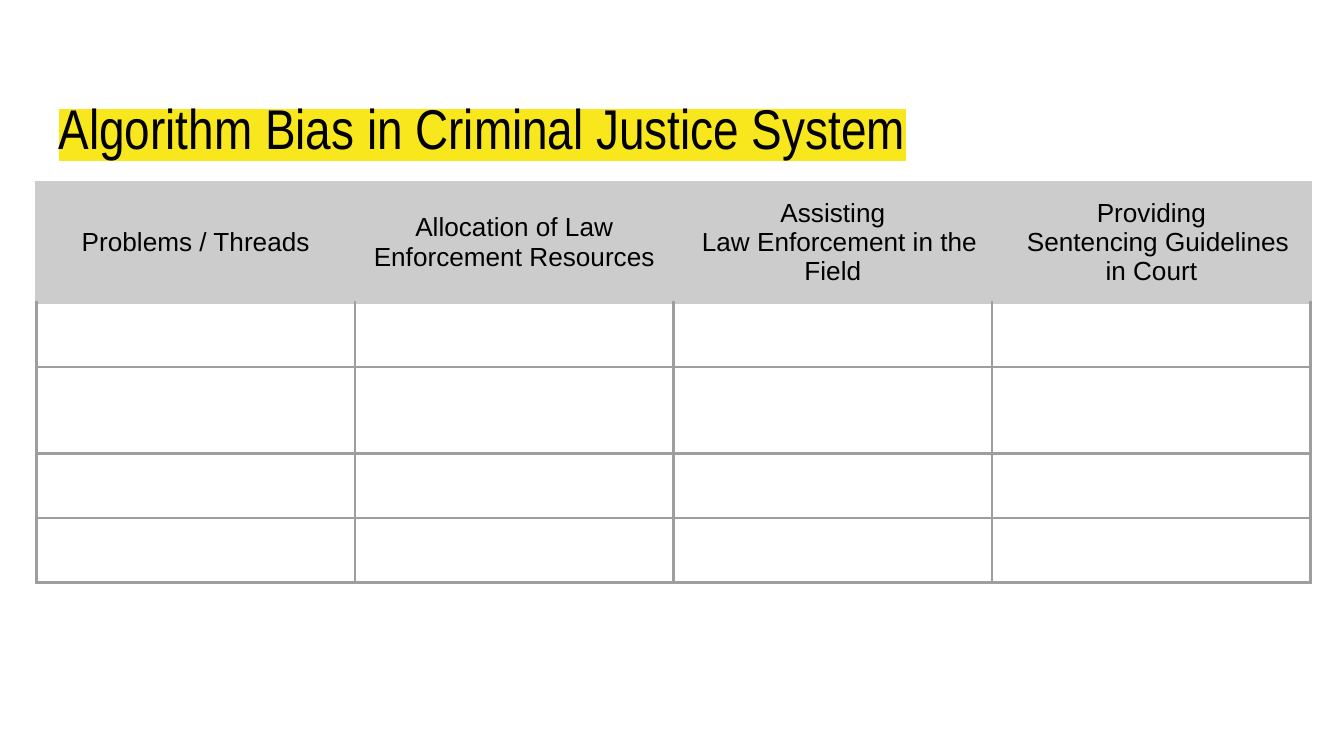
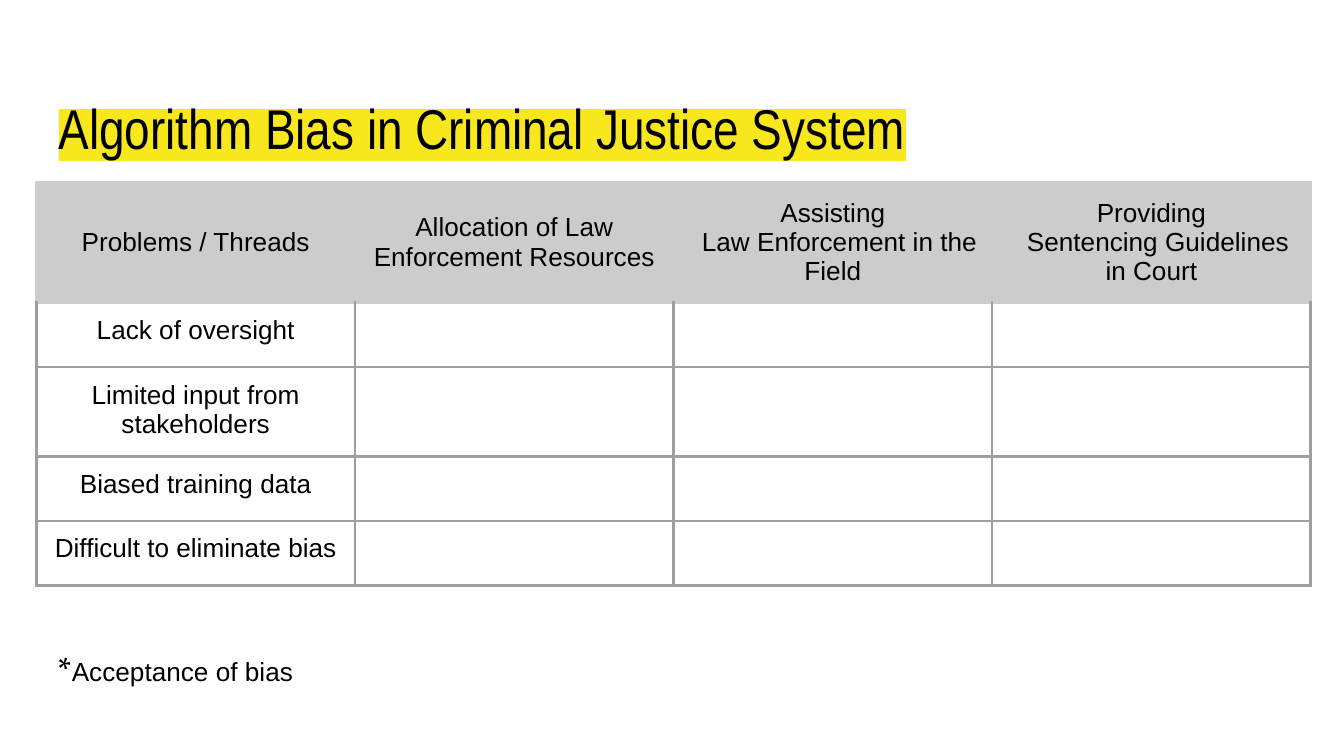
from lxml import etree
from pptx import Presentation
from pptx.dml.color import RGBColor
from pptx.enum.text import MSO_ANCHOR, PP_ALIGN
from pptx.oxml.ns import qn
from pptx.util import Cm, Pt

TOP, MIDDLE, BOTTOM = MSO_ANCHOR.TOP, MSO_ANCHOR.MIDDLE, MSO_ANCHOR.BOTTOM
LEFT, CENTER = PP_ALIGN.LEFT, PP_ALIGN.CENTER

BLACK = RGBColor(0x00, 0x00, 0x00)
YELLOW = RGBColor(0xF8, 0xE7, 0x1C)
HEADER_GREY = RGBColor(0xCC, 0xCC, 0xCC)
GRID_GREY = RGBColor(0x9E, 0x9E, 0x9E)

MARGIN = Cm(0.25)
TEXT_LEFT, TEXT_WIDTH = Cm(0.86), Cm(23.67)

TITLE = "Algorithm Bias in Criminal Justice System"
HEADERS = [
    ["Problems / Threads"],
    ["Allocation of Law Enforcement Resources"],
    ["Assisting", "Law Enforcement in the Field"],
    ["Providing", "Sentencing Guidelines in Court"],
]
PROBLEMS = [
    "Lack of oversight",
    "Limited input from stakeholders",
    "Biased training data",
    "Difficult to eliminate bias",
]
COLUMN_WIDTH = Cm(6.02)
ROW_HEIGHTS = [Cm(height) for height in (2.19, 1.22, 1.63, 1.22, 1.22)]


def add_color(parent, color):
    fill = etree.SubElement(parent, qn("a:solidFill"))
    etree.SubElement(fill, qn("a:srgbClr"), val=str(color))


def write_text(paragraph, text, size=14, font="Arial", color=BLACK,
               align=LEFT, highlight=None):
    """Append one formatted run to a paragraph."""
    paragraph.alignment = align
    run = paragraph.add_run()
    run.text = text
    run.font.size = Pt(size)
    run.font.color.rgb = color
    if highlight is not None:
        marker = etree.SubElement(run._r.get_or_add_rPr(), qn("a:highlight"))
        etree.SubElement(marker, qn("a:srgbClr"), val=str(highlight))
    run.font.name = font


def set_margins(holder, margin_top=MARGIN, margin_bottom=MARGIN):
    holder.margin_left = holder.margin_right = MARGIN
    holder.margin_top, holder.margin_bottom = margin_top, margin_bottom


def add_text_box(slide, top, height, anchor, **margins):
    """Add a full-width text box and return its first paragraph."""
    shape = slide.shapes.add_textbox(TEXT_LEFT, top, TEXT_WIDTH, height)
    frame = shape.text_frame
    frame.word_wrap = True
    frame.vertical_anchor = anchor
    set_margins(frame, **margins)
    return frame.paragraphs[0]


def add_title(slide):
    paragraph = add_text_box(slide, Cm(1.24), Cm(1.6), TOP,
                             margin_top=Cm(0.53))
    write_text(paragraph, TITLE, size=30, font="Arial Narrow", highlight=YELLOW)


def add_footnote(slide):
    paragraph = add_text_box(slide, Cm(3.1), Cm(10.44), BOTTOM,
                             margin_bottom=Cm(0.56))
    write_text(paragraph, "*", size=18, font="TeX Gyre Pagella")
    write_text(paragraph, "Acceptance of bias")


def set_borders(cell, color, top_color):
    properties = cell._tc.get_or_add_tcPr()
    sides = {"L": color, "R": color, "T": top_color, "B": color}
    for index, (side, side_color) in enumerate(sides.items()):
        line = etree.Element(qn("a:ln" + side), w=str(int(Pt(1.5))))
        add_color(line, side_color)
        properties.insert(index, line)


def fill_cell(cell, lines, anchor):
    """Write centred lines; lines after the first are slightly indented."""
    cell.vertical_anchor = anchor
    set_margins(cell)
    frame = cell.text_frame
    for index, text in enumerate(lines):
        paragraph = frame.add_paragraph() if index else frame.paragraphs[0]
        write_text(paragraph, text, align=CENTER)
        if index:
            paragraph._p.get_or_add_pPr().set("indent", str(int(Cm(0.25))))


def add_problem_table(slide, problems=()):
    table = slide.shapes.add_table(
        len(ROW_HEIGHTS), len(HEADERS), Cm(0.69), Cm(3.44),
        COLUMN_WIDTH * len(HEADERS), sum(ROW_HEIGHTS)).table
    table.first_row = table.horz_banding = False
    for column in table.columns:
        column.width = COLUMN_WIDTH
    for row_index, (row, height) in enumerate(zip(table.rows, ROW_HEIGHTS)):
        row.height = height
        for cell in row.cells:
            if row_index == 0:
                cell.fill.solid()
                cell.fill.fore_color.rgb = HEADER_GREY
                set_borders(cell, HEADER_GREY, HEADER_GREY)
            else:
                cell.fill.background()
                set_borders(cell, GRID_GREY,
                            HEADER_GREY if row_index == 1 else GRID_GREY)

    # Header row, then the first column
    for column_index, lines in enumerate(HEADERS):
        fill_cell(table.cell(0, column_index), lines, MIDDLE)
    for row_index, problem in enumerate(problems, start=1):
        fill_cell(table.cell(row_index, 0), [problem], TOP)


def main():
    presentation = Presentation()
    presentation.slide_width, presentation.slide_height = Cm(25.4), Cm(14.29)
    blank = presentation.slide_layouts[6]

    # Empty table
    slide = presentation.slides.add_slide(blank)
    add_title(slide)
    add_problem_table(slide)

    # Table with the problems named
    slide = presentation.slides.add_slide(blank)
    add_title(slide)
    add_footnote(slide)
    add_problem_table(slide, PROBLEMS)

    presentation.save("out.pptx")


if __name__ == "__main__":
    main()
